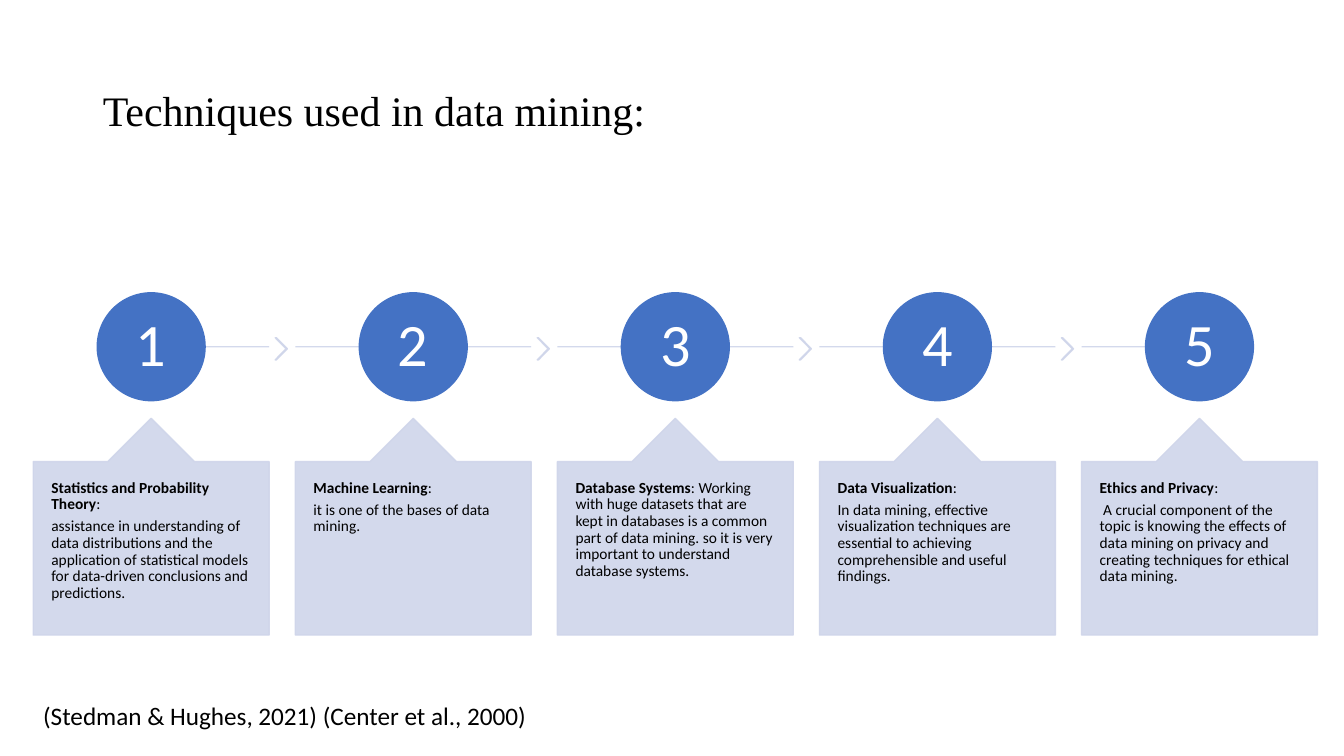
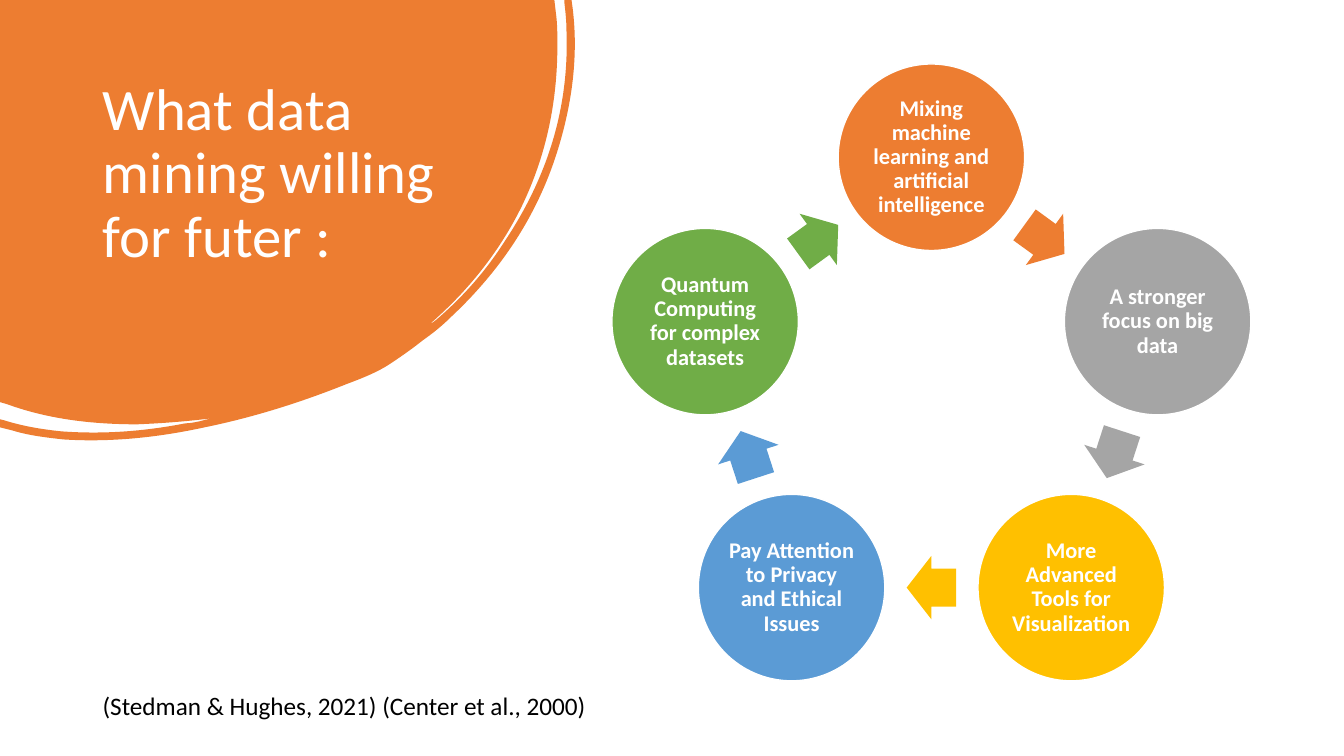
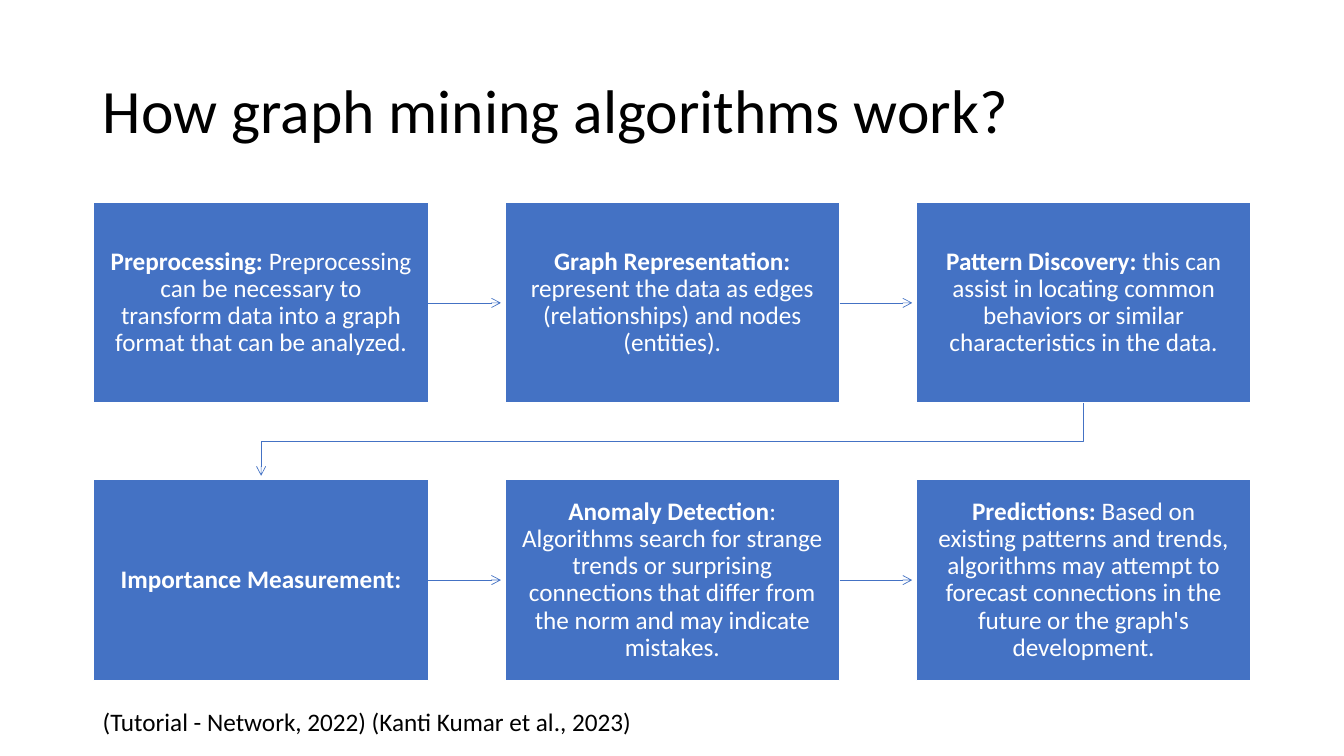
"""Build three data mining slides: a timeline, a cycle and a process."""
import dataclasses
import math
import typing

import lxml.etree
import pptx
import pptx.dml.color
import pptx.enum.shapes
import pptx.enum.text
import pptx.oxml.ns
import pptx.presentation
import pptx.shapes.autoshape
import pptx.shapes.connector
import pptx.slide
import pptx.text.text
import pptx.util

Inches = pptx.util.Inches
qn = pptx.oxml.ns.qn
ShapeKind = pptx.enum.shapes.MSO_SHAPE
ConnectorKind = pptx.enum.shapes.MSO_CONNECTOR
Align = pptx.enum.text.PP_ALIGN
Anchor = pptx.enum.text.MSO_ANCHOR
AutoSize = pptx.enum.text.MSO_AUTO_SIZE


@dataclasses.dataclass(frozen=True)
class Theme:
    black: str = "000000"
    white: str = "FFFFFF"
    blue: str = "4472C4"
    pale: str = "CFD5EA"
    orange: str = "ED7D31"
    gray: str = "A5A5A5"
    gold: str = "FFC000"
    sky: str = "5B9BD5"
    green: str = "70AD47"
    font: str = "Calibri"
    serif: str = "Times New Roman"
    title_size: int = 44
    serif_title_size: int = 30
    blob_title_size: int = 42
    number_size: int = 43
    body_size: int = 18
    cycle_size: int = 16
    callout_size: int = 11
    line_spacing: float = 0.9
    paragraph_gap: float = 3.85
    pale_opacity: int = 90


THEME = Theme()


class Box(typing.NamedTuple):
    left: float
    top: float
    width: float
    height: float

    @property
    def right(self) -> float:
        return self.left + self.width

    @property
    def bottom(self) -> float:
        return self.top + self.height

    @property
    def center(self) -> float:
        return self.left + self.width / 2

    @property
    def middle(self) -> float:
        return self.top + self.height / 2


def centered(x: float, y: float, width: float, height: float) -> Box:
    return Box(x - width / 2, y - height / 2, width, height)


class Grid(typing.NamedTuple):
    first: Box
    column_step: float
    row_step: float = 0

    def cell(self, column: int, row: int = 0) -> Box:
        return self.first._replace(
            left=self.first.left + column * self.column_step,
            top=self.first.top + row * self.row_step,
        )


class Run(typing.NamedTuple):
    text: str
    bold: bool = False


Paragraphs = list[list[Run]]


@dataclasses.dataclass(frozen=True)
class TextStyle:
    size: float
    color: str
    font: str = THEME.font
    align: Align = Align.LEFT
    anchor: Anchor = Anchor.TOP
    inset_x: float = 0.1
    inset_y: float = 0.05
    spacing: float = THEME.line_spacing


class CycleNode(typing.NamedTuple):
    text: str
    color: str


SLIDE = Box(0, 0, 40 / 3, 7.5)
TITLE = Box(0.92, 0.4, 11.5, 1.45)
BLOB_TITLE = Box(0.92, 0.74, 3.52, 2.22)
BLOB = Box(0, 0, 5.71, 4.37)
TIMELINE = Grid(Box(0.33, 4.15, 2.34, 2.15), 2.6)
PROCESS = Grid(Box(0.93, 2.01, 3.32, 1.99), 4.08, 2.75)
PROCESS_COLUMNS = 3
CITATION = "(Stedman & Hughes, 2021) (Center et al., 2000)"

CENTERED = TextStyle(THEME.body_size, THEME.white, align=Align.CENTER, anchor=Anchor.MIDDLE)
NUMBER_STYLE = dataclasses.replace(CENTERED, size=THEME.number_size, inset_x=0.04, inset_y=0.04)
CYCLE_STYLE = dataclasses.replace(CENTERED, size=THEME.cycle_size, inset_x=0.02, inset_y=0.02)
PROCESS_STYLE = dataclasses.replace(CENTERED, inset_x=0.16, inset_y=0.17)
CALLOUT_STYLE = TextStyle(THEME.callout_size, THEME.black, inset_x=0.18, inset_y=0.18)
CITATION_STYLE = TextStyle(THEME.body_size, THEME.black, spacing=1)

TECHNIQUES: list[Paragraphs] = [
    [
        [Run("Statistics and Probability Theory", True), Run(":")],
        [Run("assistance in understanding of data distributions and the application of "
             "statistical models for data-driven conclusions and predictions.")],
    ],
    [
        [Run("Machine Learning", True), Run(":")],
        [Run("it is one of the bases of data mining.")],
    ],
    [
        [Run("Database Systems", True),
         Run(": Working with huge datasets that are kept in databases is a common part of "
             "data mining. so it is very important to understand database systems.")],
    ],
    [
        [Run("Data Visualization", True), Run(":")],
        [Run("In data mining, effective visualization techniques are essential to achieving "
             "comprehensible and useful findings.")],
    ],
    [
        [Run("Ethics and Privacy", True), Run(":")],
        [Run(" A crucial component of the topic is knowing the effects of data mining on "
             "privacy and creating techniques for ethical data mining.")],
    ],
]

CYCLE = [
    CycleNode("Mixing machine learning and artificial intelligence", THEME.orange),
    CycleNode("A stronger focus on big data", THEME.gray),
    CycleNode("More Advanced Tools for Visualization", THEME.gold),
    CycleNode("Pay Attention to Privacy and Ethical Issues", THEME.sky),
    CycleNode("Quantum Computing for complex datasets", THEME.green),
]

STEPS: list[list[Run]] = [
    [Run("Preprocessing: ", True),
     Run("Preprocessing can be necessary to transform data into a graph format that can be analyzed.")],
    [Run("Graph Representation: ", True),
     Run("represent the data as edges (relationships) and nodes (entities).")],
    [Run("Pattern Discovery: ", True),
     Run("this can assist in locating common behaviors or similar characteristics in the data.")],
    [Run("Importance Measurement:", True)],
    [Run("Anomaly Detection", True),
     Run(": Algorithms search for strange trends or surprising connections that differ from "
         "the norm and may indicate mistakes.")],
    [Run("Predictions: ", True),
     Run("Based on existing patterns and trends, algorithms may attempt to forecast "
         "connections in the future or the graph's development.")],
]

BLOB_OUTLINE: list[tuple[float, ...]] = [
    (0, 0), (5.5, 0), (5.52, 0.17),
    (5.53, 0.26, 5.53, 0.36, 5.53, 0.45),
    (5.53, 1.01, 5.42, 1.54, 5.18, 2.04),
    (4.96, 2.49, 4.65, 2.88, 4.27, 3.21),
    (4.29, 3.21, 4.3, 3.19, 4.32, 3.18),
    (4.59, 2.95, 4.82, 2.69, 5.01, 2.39),
    (5.43, 1.76, 5.65, 1.07, 5.62, 0.3),
    (5.62, 0.21, 5.61, 0.12, 5.6, 0.03),
    (5.6, 0), (5.67, 0), (5.68, 0.07),
    (5.74, 0.54, 5.68, 1.02, 5.53, 1.5),
    (5.33, 2.14, 4.97, 2.68, 4.48, 3.14),
    (4.39, 3.23, 4.29, 3.31, 4.19, 3.38),
    (4.09, 3.46, 3.99, 3.53, 3.87, 3.61),
    (3.75, 3.69, 3.6, 3.75, 3.44, 3.81),
    (2.99, 3.99, 2.52, 4.14, 2.03, 4.24),
    (1.57, 4.34, 1.1, 4.39, 0.63, 4.36),
    (0.45, 4.34, 0.28, 4.32, 0.12, 4.27),
    (0, 4.24), (0, 4.16), (0.04, 4.17),
    (0.23, 4.23, 0.42, 4.26, 0.61, 4.28),
    (1.03, 4.31, 1.43, 4.28, 1.84, 4.2),
    (1.89, 4.2, 1.93, 4.19, 1.98, 4.18),
    (2.02, 4.17, 2.06, 4.16, 2.1, 4.15),
    (1.86, 4.18, 1.61, 4.2, 1.36, 4.21),
    (0.92, 4.21, 0.48, 4.16, 0.07, 4.01),
    (0, 3.99),
]


def rgb(color: str) -> pptx.dml.color.RGBColor:
    return pptx.dml.color.RGBColor.from_string(color)


def write(frame: pptx.text.text.TextFrame, paragraphs: Paragraphs, style: TextStyle, wrap: bool = True) -> None:
    frame.word_wrap = wrap
    frame.auto_size = AutoSize.NONE if wrap else AutoSize.SHAPE_TO_FIT_TEXT
    frame.vertical_anchor = style.anchor
    frame.margin_left = frame.margin_right = Inches(style.inset_x)
    frame.margin_top = frame.margin_bottom = Inches(style.inset_y)
    for index, runs in enumerate(paragraphs):
        paragraph = frame.add_paragraph() if index else frame.paragraphs[0]
        paragraph.alignment = style.align
        paragraph.line_spacing = style.spacing
        paragraph.space_before = pptx.util.Pt(THEME.paragraph_gap if index else 0)
        for part in runs:
            run = paragraph.add_run()
            run.text = part.text
            run.font.name = style.font
            run.font.size = pptx.util.Pt(style.size)
            run.font.bold = part.bold
            run.font.color.rgb = rgb(style.color)


def paint(shape: pptx.shapes.autoshape.Shape, fill: str, line: str | None = None) -> None:
    shape.shadow.inherit = False
    shape.fill.solid()
    shape.fill.fore_color.rgb = rgb(fill)
    if line is None:
        shape.line.fill.background()
    else:
        shape.line.color.rgb = rgb(line)
        shape.line.width = pptx.util.Pt(1)


def add_shape(slide: pptx.slide.Slide, kind: ShapeKind, box: Box, fill: str, line: str | None = None,
              adjustments: tuple[float, ...] = ()) -> pptx.shapes.autoshape.Shape:
    shape = slide.shapes.add_shape(kind, *map(Inches, box))
    for index, value in enumerate(adjustments):
        shape.adjustments[index] = value
    paint(shape, fill, line)
    return shape


def add_line(slide: pptx.slide.Slide, kind: ConnectorKind, start: tuple[float, float], end: tuple[float, float],
             color: str, width: float, arrow: bool = False) -> pptx.shapes.connector.Connector:
    connector = slide.shapes.add_connector(kind, *map(Inches, (*start, *end)))
    connector.line.color.rgb = rgb(color)
    connector.line.width = pptx.util.Pt(width)
    properties = connector._element.spPr
    if arrow:
        lxml.etree.SubElement(properties.find(qn("a:ln")), qn("a:tailEnd"), type="arrow")
    lxml.etree.SubElement(properties, qn("a:effectLst"))
    return connector


def soften(shape: pptx.shapes.autoshape.Shape | pptx.shapes.connector.Connector) -> None:
    for color in shape._element.spPr.iter(qn("a:srgbClr")):
        lxml.etree.SubElement(color, qn("a:alpha"), val=str(THEME.pale_opacity * 1000))


def add_slide(presentation: pptx.presentation.Presentation, title: str, box: Box, style: TextStyle) -> pptx.slide.Slide:
    slide = presentation.slides.add_slide(presentation.slide_layouts[5])
    shape = slide.shapes.title
    shape.left, shape.top, shape.width, shape.height = map(Inches, box)
    write(shape.text_frame, [[Run(title)]], style)
    return slide


def add_citation(slide: pptx.slide.Slide, text: str, box: Box) -> None:
    shape = slide.shapes.add_textbox(*map(Inches, box))
    write(shape.text_frame, [[Run(text)]], CITATION_STYLE, wrap=False)


def add_blob(slide: pptx.slide.Slide, color: str) -> None:
    units = 1000
    corners = [(round(part[-2] * units), round(part[-1] * units)) for part in BLOB_OUTLINE]
    builder = slide.shapes.build_freeform(*corners[0], scale=Inches(1) / units)
    builder.add_line_segments(corners[1:], close=True)
    blob = builder.convert_to_shape()
    paint(blob, color)
    blob.width, blob.height = Inches(BLOB.width), Inches(BLOB.height)
    outline = next(blob._element.iter(qn("a:path")))
    outline.set("w", str(round(BLOB.width * units)))
    outline.set("h", str(round(BLOB.height * units)))
    for segment, line in zip(BLOB_OUTLINE[1:], outline.findall(qn("a:lnTo"))):
        if len(segment) == 2:
            continue
        curve = lxml.etree.Element(qn("a:cubicBezTo"))
        for x, y in zip(segment[::2], segment[1::2]):
            lxml.etree.SubElement(curve, qn("a:pt"), x=str(round(x * units)), y=str(round(y * units)))
        outline.replace(line, curve)
    tree = slide.shapes._spTree
    tree.remove(blob._element)
    tree.insert(2, blob._element)


def build_timeline(presentation: pptx.presentation.Presentation) -> None:
    style = TextStyle(THEME.serif_title_size, THEME.black, THEME.serif, anchor=Anchor.MIDDLE)
    slide = add_slide(presentation, "Techniques used in data mining:", TITLE, style)
    axis, diameter, last = 3.44, 1.07, len(TECHNIQUES) - 1
    for index, paragraphs in enumerate(TECHNIQUES):
        cell = TIMELINE.cell(index)
        start = cell.left if index else cell.center
        end = cell.right if index < last else cell.center
        soften(add_line(slide, ConnectorKind.STRAIGHT, (start, axis), (end, axis), THEME.pale, 1))
        if index < last:
            chevron = Box(cell.right + 0.06, 3.35, 0.12, 0.22)
            soften(add_shape(slide, ShapeKind.CHEVRON, chevron, THEME.pale, THEME.pale, (0.9,)))
        circle = add_shape(slide, ShapeKind.OVAL, centered(cell.center, axis, diameter, diameter),
                           THEME.blue, THEME.blue)
        write(circle.text_frame, [[Run(str(index + 1))]], NUMBER_STYLE)
        callout = add_shape(slide, ShapeKind.UP_ARROW_CALLOUT, cell, THEME.pale, THEME.pale, (0.5, 0.2, 0.2, 1))
        soften(callout)
        write(callout.text_frame, paragraphs, CALLOUT_STYLE)
    add_citation(slide, CITATION, Box(0.33, 6.9, 5.06, 0.4))


def build_cycle(presentation: pptx.presentation.Presentation) -> None:
    style = TextStyle(THEME.blob_title_size, THEME.white)
    slide = add_slide(presentation, "What data mining willing for futer :", BLOB_TITLE, style)
    add_blob(slide, THEME.orange)
    center_x, center_y, radius, diameter = 9.24, 3.92, 2.36, 1.85
    turn = 360 / len(CYCLE)
    arrow_radius = radius * math.cos(math.radians(turn / 2))

    def place(angle: float, distance: float, width: float, height: float) -> Box:
        x = center_x + distance * math.sin(math.radians(angle))
        y = center_y - distance * math.cos(math.radians(angle))
        return centered(x, y, width, height)

    for index, node in enumerate(CYCLE):
        angle = index * turn
        circle = add_shape(slide, ShapeKind.OVAL, place(angle, radius, diameter, diameter), node.color, THEME.white)
        write(circle.text_frame, [[Run(node.text, True)]], CYCLE_STYLE)
        arrow = add_shape(slide, ShapeKind.RIGHT_ARROW, place(angle + turn / 2, arrow_radius, 0.49, 0.63),
                          node.color, adjustments=(0.6, 0.5))
        arrow.rotation = angle + turn / 2
    add_citation(slide, CITATION, Box(0.92, 6.8, 5.06, 0.71))


def build_process(presentation: pptx.presentation.Presentation) -> None:
    style = TextStyle(THEME.title_size, THEME.black, anchor=Anchor.MIDDLE)
    slide = add_slide(presentation, "How graph mining algorithms work?", TITLE, style)
    gap, bend = 0.04, 0.53
    for index, runs in enumerate(STEPS):
        row, column = divmod(index, PROCESS_COLUMNS)
        cell = PROCESS.cell(column, row)
        box = add_shape(slide, ShapeKind.RECTANGLE, cell, THEME.blue, THEME.white)
        write(box.text_frame, [runs], PROCESS_STYLE)
        if column < PROCESS_COLUMNS - 1:
            target = PROCESS.cell(column + 1, row)
            arrow = add_line(slide, ConnectorKind.STRAIGHT, (cell.right, cell.middle),
                             (target.left - gap, cell.middle), THEME.blue, 0.5, arrow=True)
            arrow.begin_connect(box, 3)
    source, target = PROCESS.cell(PROCESS_COLUMNS - 1), PROCESS.cell(0, 1)
    drop, span = target.top - gap - source.bottom, source.center - target.center
    turned = centered((source.center + target.center) / 2, source.bottom + drop / 2, drop, span)
    elbow = add_line(slide, ConnectorKind.ELBOW, (turned.left, turned.top), (turned.right, turned.bottom),
                     THEME.blue, 0.5, arrow=True)
    properties = elbow._element.spPr
    properties.find(qn("a:xfrm")).set("rot", str(90 * 60000))
    lxml.etree.SubElement(next(properties.iter(qn("a:avLst"))), qn("a:gd"),
                          name="adj1", fmla=f"val {round(bend * 100000)}")
    add_citation(slide, "(Tutorial - Network, 2022) (Kanti Kumar et al., 2023)", Box(0.92, 6.96, 5.51, 0.4))


def main() -> None:
    presentation = pptx.Presentation()
    presentation.slide_width, presentation.slide_height = Inches(SLIDE.width), Inches(SLIDE.height)
    build_timeline(presentation)
    build_cycle(presentation)
    build_process(presentation)
    presentation.save("out.pptx")


if __name__ == "__main__":
    main()
